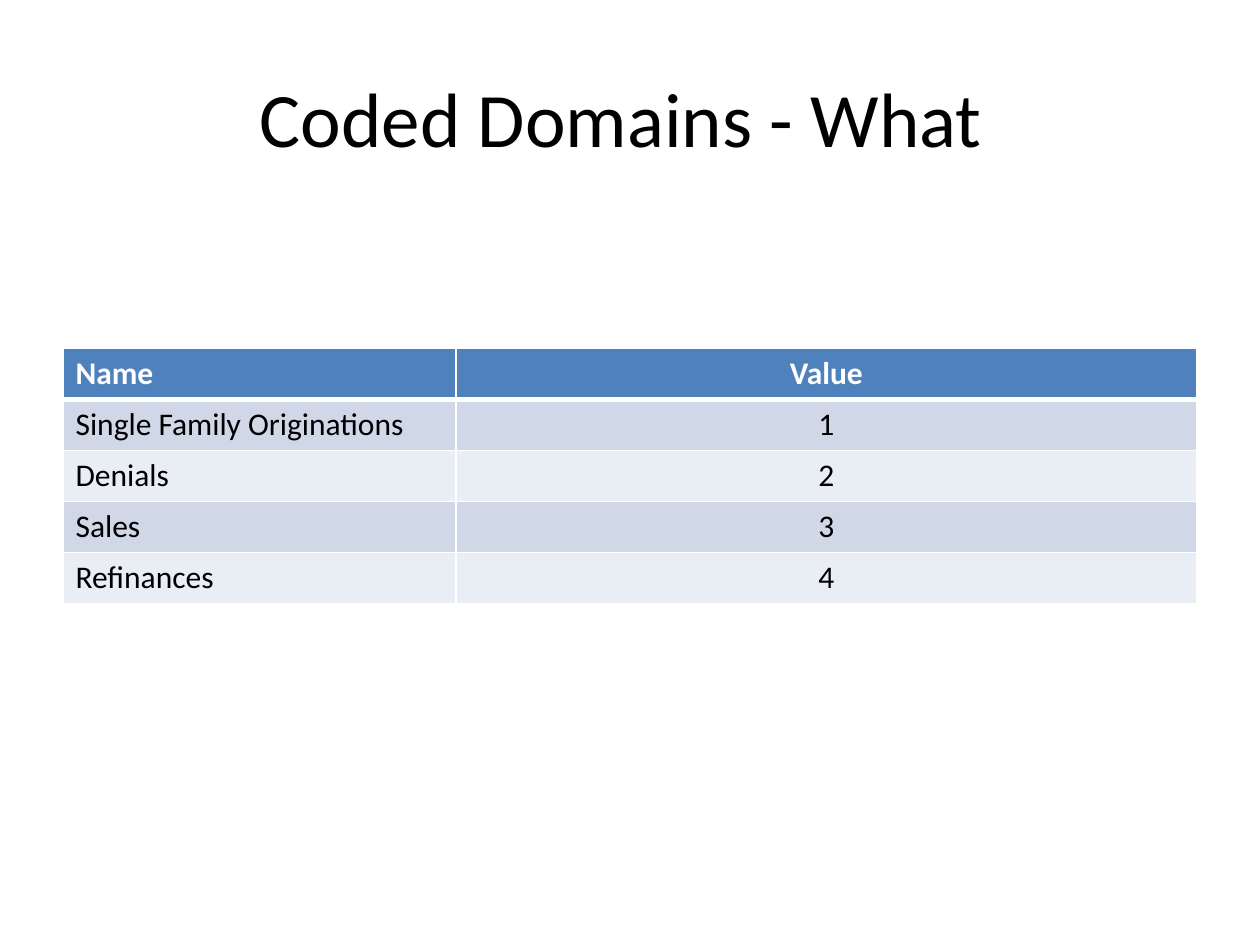
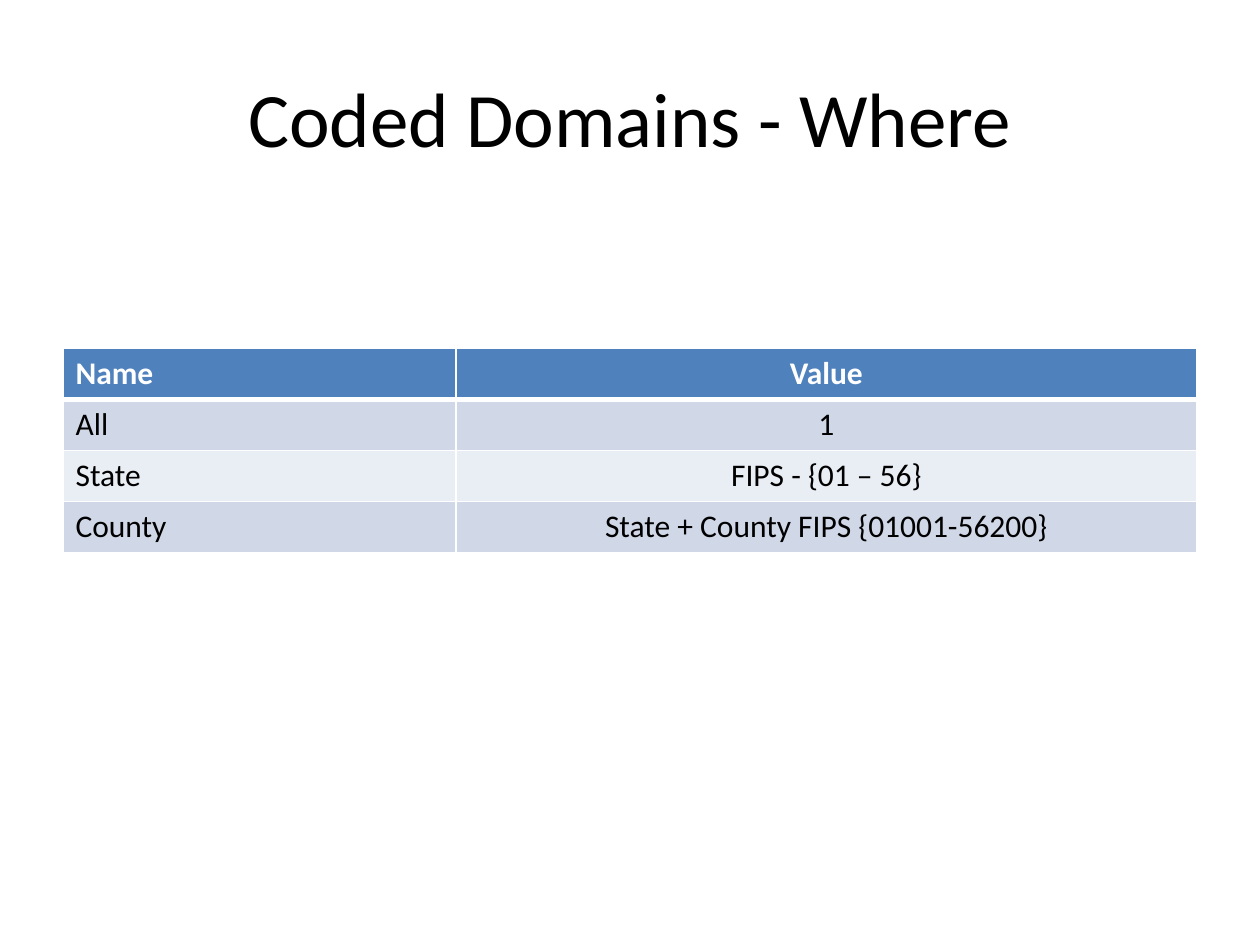
"""Builds two slides, each with a title and a table of coded domain values."""
from lxml import etree
from pptx import Presentation
from pptx.dml.color import RGBColor
from pptx.enum.text import MSO_ANCHOR, PP_ALIGN
from pptx.oxml.ns import qn
from pptx.util import Cm, Pt

HEADER = ("Name", "Value")
SLIDES = [
    # the space after "What" is part of the centred line
    ("Coded Domains - What ", [
        ("Single Family Originations", "1"),
        ("Denials", "2"),
        ("Sales", "3"),
        ("Refinances", "4"),
    ]),
    ("Coded Domains - Where", [
        ("All", "1"),
        ("State", "FIPS - {01 – 56}"),
        ("County", "State + County FIPS {01001-56200}"),
    ]),
]

FONT = "Calibri"
WHITE, BLACK, HEADER_BLUE = "FFFFFF", "000000", "4F81BD"
BANDS = ("D0D8E8", "E9EDF4")
ALIGNMENTS = (PP_ALIGN.LEFT, PP_ALIGN.CENTER)

# Lengths in centimetres
SLIDE_SIZE = (25.4, 19.05)
MARGIN = 1.27
CONTENT_WIDTH = SLIDE_SIZE[0] - 2 * MARGIN
TITLE_TOP, TITLE_HEIGHT = 0.76, 3.18
TABLE_TOP, ROW_HEIGHT = 7.02, 1.03
NAME_WIDTH = 7.92
COLUMN_WIDTHS = (NAME_WIDTH, CONTENT_WIDTH - NAME_WIDTH)
THIN, THICK = 1, 3  # border widths in points


def rgb(hex_colour):
    """Turn a hex string into a colour."""
    return RGBColor.from_string(hex_colour)


def write(frame, text, size, colour, align, bold=False):
    """Put one styled line of text into a text frame."""
    paragraph = frame.paragraphs[0]
    paragraph.alignment = align
    run = paragraph.add_run()
    run.text = text
    run.font.name = FONT
    run.font.size = Pt(size)
    run.font.bold = bold
    run.font.color.rgb = rgb(colour)


def set_borders(cell, top, bottom):
    """Draw white cell borders; top and bottom are widths in points."""
    properties = cell._tc.get_or_add_tcPr()
    widths = {"a:lnL": THIN, "a:lnR": THIN, "a:lnT": top, "a:lnB": bottom}
    for tag, width in widths.items():
        line = etree.SubElement(properties, qn(tag), w=str(Pt(width)))
        fill = etree.SubElement(line, qn("a:solidFill"))
        etree.SubElement(fill, qn("a:srgbClr"), val=WHITE)


def add_title(slide, text):
    """Add the centred slide title."""
    box = slide.shapes.add_textbox(Cm(MARGIN), Cm(TITLE_TOP),
                                   Cm(CONTENT_WIDTH), Cm(TITLE_HEIGHT))
    frame = box.text_frame
    frame.word_wrap = True
    frame.vertical_anchor = MSO_ANCHOR.MIDDLE
    write(frame, text, 44, BLACK, PP_ALIGN.CENTER)


def add_domain_table(slide, entries):
    """Add a table with a blue header and banded rows."""
    rows = [HEADER, *entries]
    table = slide.shapes.add_table(
        len(rows), len(HEADER), Cm(MARGIN), Cm(TABLE_TOP),
        Cm(CONTENT_WIDTH), Cm(ROW_HEIGHT * len(rows))).table
    for column, width in zip(table.columns, COLUMN_WIDTHS):
        column.width = Cm(width)
    for r, row in enumerate(rows):
        table.rows[r].height = Cm(ROW_HEIGHT)
        is_header = r == 0
        background = HEADER_BLUE if is_header else BANDS[(r - 1) % 2]
        for c, text in enumerate(row):
            cell = table.cell(r, c)
            set_borders(cell, top=THICK if r == 1 else THIN,
                        bottom=THICK if is_header else THIN)
            cell.fill.solid()
            cell.fill.fore_color.rgb = rgb(background)
            write(cell.text_frame, text, 18, WHITE if is_header else BLACK,
                  ALIGNMENTS[c], bold=is_header)


def main():
    """Build and save the presentation."""
    deck = Presentation()
    deck.slide_width, deck.slide_height = map(Cm, SLIDE_SIZE)
    blank = deck.slide_layouts[6]
    for title, entries in SLIDES:
        slide = deck.slides.add_slide(blank)
        add_title(slide, title)
        add_domain_table(slide, entries)
    deck.save("out.pptx")


main()
